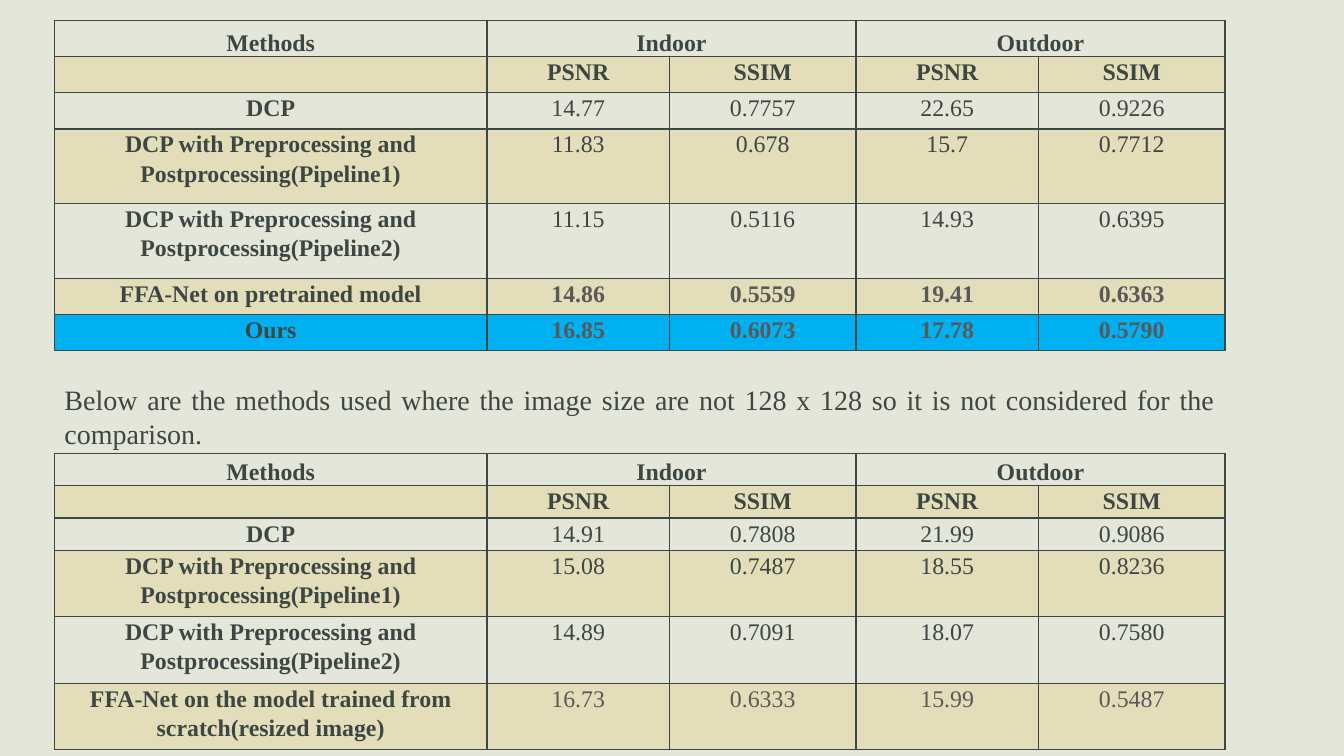
from dataclasses import dataclass

import lxml.etree
import pptx
import pptx.dml.color
import pptx.enum.text
import pptx.oxml.ns
import pptx.util

Inches = pptx.util.Inches
Pt = pptx.util.Pt
RGB = pptx.dml.color.RGBColor.from_string
ALIGN = pptx.enum.text.PP_ALIGN
qn = pptx.oxml.ns.qn


@dataclass(frozen=True)
class Theme:
    font: str = "Times New Roman"
    background: str = "E5E6DA"
    ink: str = "3C4743"
    grey: str = "595959"
    band: str = "DDC237"
    band_opacity: int = 20
    highlight: str = "00B0F0"
    table_size: int = 17
    note_size: int = 20


theme = Theme()


def style_text(para, size, color, bold, align):
    para.alignment = align
    for span in para.runs:
        span.font.name = theme.font
        span.font.size = Pt(size)
        span.font.bold = bold
        span.font.color.rgb = RGB(color)


def style_cell(cell, fill_color):
    cell.margin_left = cell.margin_right = Inches(0.07)
    cell.margin_top = cell.margin_bottom = 0
    if fill_color:
        cell.fill.solid()
        cell.fill.fore_color.rgb = RGB(fill_color)
    else:
        cell.fill.background()
    properties = cell._tc.get_or_add_tcPr()
    if fill_color == theme.band:
        color = properties.find(qn("a:solidFill")).find(qn("a:srgbClr"))
        lxml.etree.SubElement(color, qn("a:alpha"), val=str(theme.band_opacity * 1000))
    # Borders come before the fill
    for position, side in enumerate(("a:lnL", "a:lnR", "a:lnT", "a:lnB")):
        line = lxml.etree.Element(qn(side), w=str(Pt(1)))
        solid = lxml.etree.SubElement(line, qn("a:solidFill"))
        lxml.etree.SubElement(solid, qn("a:srgbClr"), val=theme.ink)
        properties.insert(position, line)


# Page
deck = pptx.Presentation()
deck.slide_width, deck.slide_height = Inches(13.33), Inches(7.5)
page = deck.slides.add_slide(deck.slide_layouts[6])
page.background.fill.solid()
page.background.fill.fore_color.rgb = RGB(theme.background)

# Table contents
left, width = 0.54, 11.61
column_widths = [4.29, 1.81, 1.85, 1.81, 1.85]
headings = [
    ["Methods", "Indoor", "", "Outdoor", ""],
    ["", "PSNR", "SSIM", "PSNR", "SSIM"],
]
pipeline_1 = "DCP with Preprocessing and Postprocessing(Pipeline1)"
pipeline_2 = "DCP with Preprocessing and Postprocessing(Pipeline2)"
compared = [
    ["DCP", "14.77", "0.7757", "22.65", "0.9226"],
    [pipeline_1, "11.83", "0.678", "15.7", "0.7712"],
    [pipeline_2, "11.15", "0.5116", "14.93", "0.6395"],
    ["FFA-Net on pretrained model", "14.86", "0.5559", "19.41", "0.6363"],
    ["Ours", "16.85", "0.6073", "17.78", "0.5790"],
]
not_compared = [
    ["DCP", "14.91", "0.7808", "21.99", "0.9086"],
    [pipeline_1, "15.08", "0.7487", "18.55", "0.8236"],
    [pipeline_2, "14.89", "0.7091", "18.07", "0.7580"],
    ["FFA-Net on the model trained from scratch(resized image)",
     "16.73", "0.6333", "15.99", "0.5487"],
]

# Top, row heights, results, first row with grey values, whether those are bold
tables = [
    (0.2, [0.36, 0.36, 0.36, 0.74, 0.74, 0.36, 0.36], compared, 5, True),
    (4.5, [0.32, 0.32, 0.32, 0.66, 0.66, 0.66], not_compared, 5, False),
]

# Result tables
for top, row_heights, results, grey_from, grey_bold in tables:
    frame = page.shapes.add_table(
        len(row_heights), len(column_widths),
        Inches(left), Inches(top), Inches(width), Inches(sum(row_heights)))
    table = frame.table
    table.first_row = table.horz_banding = False
    for column, column_width in zip(table.columns, column_widths):
        column.width = Inches(column_width)
    for row, height in zip(table.rows, row_heights):
        row.height = Inches(height)

    for r, texts in enumerate(headings + results):
        fill_color = theme.band if r % 2 else None
        if texts[0] == "Ours":
            fill_color = theme.highlight
        for c, text in enumerate(texts):
            cell = table.cell(r, c)
            style_cell(cell, fill_color)
            if r == 0:
                cell.vertical_anchor = pptx.enum.text.MSO_ANCHOR.BOTTOM
            if not text:
                continue
            is_grey = c > 0 and r >= grey_from
            is_bold = c == 0 or r < len(headings) or (is_grey and grey_bold)
            cell.text_frame.text = text
            para = cell.text_frame.paragraphs[0]
            para.line_spacing = 1.1
            para.space_after = Pt(10)
            style_text(para, theme.table_size, theme.grey if is_grey else theme.ink,
                       is_bold, ALIGN.CENTER)

    for c in (1, 3):
        table.cell(0, c).merge(table.cell(0, c + 1))

# Note between the tables
box = page.shapes.add_textbox(Inches(left), Inches(3.75), Inches(width), Inches(0.77))
box.text_frame.word_wrap = True
box.text_frame.auto_size = pptx.enum.text.MSO_AUTO_SIZE.SHAPE_TO_FIT_TEXT
box.text_frame.text = (
    "Below are the methods used where the image size are not 128 x 128 "
    "so it is not considered for the comparison.")
style_text(box.text_frame.paragraphs[0], theme.note_size, theme.ink, False, ALIGN.JUSTIFY)

deck.save("out.pptx")
